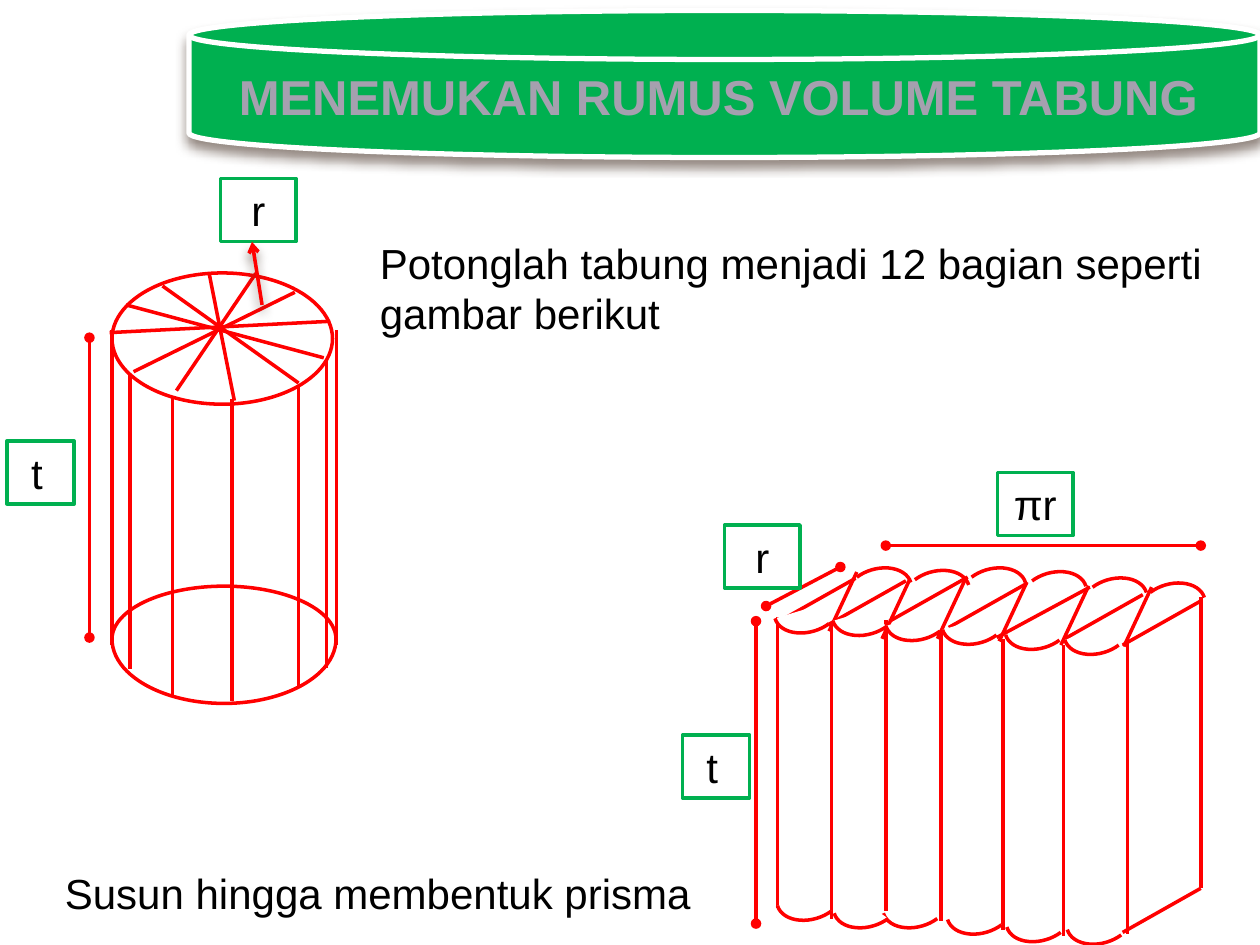
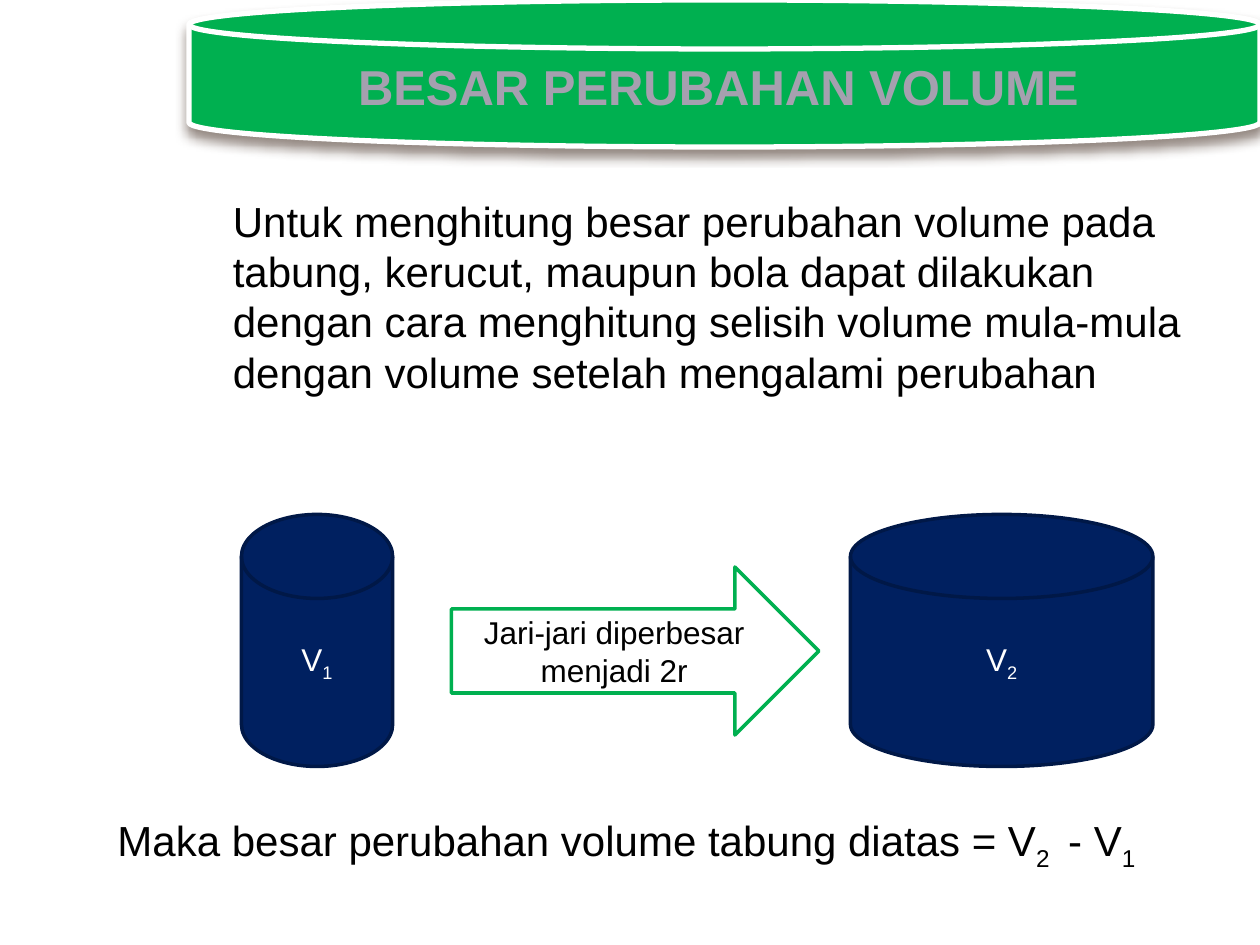
from typing import NamedTuple, Optional

from lxml import etree
from pptx import Presentation
from pptx.dml.color import RGBColor
from pptx.enum.shapes import MSO_CONNECTOR, MSO_SHAPE
from pptx.enum.text import MSO_ANCHOR, PP_ALIGN
from pptx.oxml.ns import qn
from pptx.util import Inches, Pt

WIDTH, HEIGHT = Inches(10), Inches(7.5)
COLUMN, ROW = WIDTH / 120, HEIGHT / 90  # grid of the boxes
UNIT = WIDTH / 10  # unit of the line drawings

GREEN = RGBColor(0x00, 0xB0, 0x50)
RED = RGBColor(0xFF, 0x00, 0x00)
NAVY = RGBColor(0x00, 0x20, 0x60)
DARK_NAVY = RGBColor(0x00, 0x18, 0x47)
TITLE_GREY = RGBColor(0xA5, 0xA0, 0xAF)
WHITE = RGBColor(0xFF, 0xFF, 0xFF)
BLACK = RGBColor(0x00, 0x00, 0x00)
SHADOW_BROWN = RGBColor(0x4E, 0x3B, 0x30)

FONT = "Arial"
TITLE_SIZE, BODY_SIZE, SHAPE_SIZE = 28, 24, 18
TITLE_ONLY = 5

DISK = MSO_SHAPE.FLOWCHART_MAGNETIC_DISK
RECTANGLE = MSO_SHAPE.RECTANGLE
ELLIPSE = MSO_SHAPE.OVAL
ARC = MSO_SHAPE.ARC
RIGHT_ARROW = MSO_SHAPE.RIGHT_ARROW
STRAIGHT = MSO_CONNECTOR.STRAIGHT
LEFT, CENTER = PP_ALIGN.LEFT, PP_ALIGN.CENTER
MIDDLE = MSO_ANCHOR.MIDDLE


class Box(NamedTuple):
    """A place on the grid, in columns and rows."""
    col: float
    row: float
    cols: float
    rows: float

    def emu(self) -> tuple[int, int, int, int]:
        return (round(self.col * COLUMN), round(self.row * ROW),
                round(self.cols * COLUMN), round(self.rows * ROW))


class Stroke(NamedTuple):
    """A line between two points, in drawing units."""
    x1: float
    y1: float
    x2: float
    y2: float


class Part(NamedTuple):
    """A stretch of text, lowered or on the baseline."""
    text: str
    lowered: bool = False


class Label(NamedTuple):
    text: str
    col: float
    row: float
    cols: float = 7.2
    align: PP_ALIGN = CENTER
    inset: float = 0.1


# Cylinder cut into sectors
CYLINDER_TOP = Box(10.67, 26, 21, 12.5)
BASE_LEFT, BASE_WIDTH, BASE_CENTRE = 10.67, 21.33, 60.87
BASE_HALVES = [(12.24, 0, 180), (10.08, 180, 0)]  # rows, start, end angle
DIAMETERS = [
    Stroke(1.72, 2.20, 1.72, 2.20),
    Stroke(1.29, 2.27, 2.37, 3.04), Stroke(1.06, 2.95, 2.34, 2.32),
    Stroke(1.00, 2.42, 2.57, 2.84), Stroke(0.87, 2.64, 2.62, 2.55),
    Stroke(1.40, 3.10, 2.03, 2.17), Stroke(1.86, 3.18, 1.66, 2.17),
]
CYLINDER_UPRIGHTS = [  # x, top, bottom
    (0.89, 2.62, 5.12), (2.67, 2.62, 5.12), (2.59, 2.85, 5.30),
    (1.03, 2.98, 5.31), (1.37, 3.15, 5.52), (1.84, 3.17, 5.56),
    (2.37, 3.06, 5.45),
]

# Prism made of the sectors; a scallop is placed by the tip of its sector
BACK_SCALLOPS = [(6.97, 4.70), (7.43, 4.72), (7.88, 4.70),
                 (8.36, 4.73), (8.84, 4.78), (9.30, 4.82)]
FRONT_SCALLOPS = [(8.71, 5.00), (8.24, 4.96), (7.74, 4.92),
                  (7.29, 4.89), (6.87, 4.85), (6.41, 4.83)]
BASE_SCALLOPS = [(8.73, 7.30), (8.25, 7.28), (7.78, 7.22),
                 (7.27, 7.17), (6.88, 7.17), (6.43, 7.11)]
SCALLOP_WIDTH, SCALLOP_HEIGHT, SCALLOP_TURN = 0.37, 0.54, 253.3
BACK_ANGLES, FRONT_ANGLES = (322, 90), (142, 270)
LONG_EDGE, SHORT_EDGE = (-0.62, 0.35), (-0.22, 0.47)
LONG_EDGES = [(9.53, 4.77), (9.07, 4.72), (8.15, 4.63), (7.68, 4.58),
              (7.19, 4.61), (6.79, 4.59), (9.53, 7.05)]
SHORT_EDGES = [(9.14, 4.66), (8.64, 4.65), (8.15, 4.62),
               (7.66, 4.60), (7.22, 4.60), (6.80, 4.54)]
WIDEST_EDGE = Stroke(8.65, 4.66, 7.91, 5.06)
PRISM_HEIGHT = 2.31
PRISM_UPRIGHTS = [(9.53, 4.74), (8.95, 5.10), (8.44, 5.12), (7.96, 5.07),
                  (7.47, 5.00), (7.03, 4.92), (6.60, 4.98), (6.17, 4.90)]

MEASURES = [Stroke(0.71, 2.68, 0.71, 5.06), Stroke(6.00, 4.93, 6.00, 7.33),
            Stroke(7.03, 4.33, 9.53, 4.33), Stroke(6.67, 4.50, 6.08, 4.81)]
RADIUS_POINTER = Stroke(2.08, 2.42, 2.00, 1.92)
LABEL_ROWS = 6
LABELS = [Label("t", 0.67, 42, 6.4, LEFT, 0.19), Label("r", 21, 17),
          Label("t", 65, 70, 6.4, LEFT, 0.19), Label("r", 69, 50),
          Label("πr", 95, 45)]


def add_shadow(effects) -> None:
    outer = etree.SubElement(effects, qn("a:outerShdw"), blurRad=str(Pt(6)),
                             dist=str(Pt(4)), dir="5400000", rotWithShape="0")
    color = etree.SubElement(outer, qn("a:srgbClr"), val=str(SHADOW_BROWN))
    etree.SubElement(color, qn("a:alpha"), val="60000")


def write(shape, parts: list[Part], size: float, color: RGBColor,
          align=CENTER, bold: bool = False) -> None:
    frame = shape.text_frame
    frame.word_wrap = True
    paragraph = frame.paragraphs[0]
    paragraph.alignment = align
    for part in parts:
        run = paragraph.add_run()
        run.text = part.text
        run.font.name, run.font.size = FONT, Pt(size)
        run.font.bold = bold
        run.font.color.rgb = color
        if part.lowered:
            run.font._element.set("baseline", "-25000")


def add_figure(slide, kind, box: Box, fill: Optional[RGBColor],
               line: RGBColor, weight: float = 2):
    figure = slide.shapes.add_shape(kind, *box.emu())
    figure.shadow.inherit = False
    if fill is None:
        figure.fill.background()
    else:
        figure.fill.solid()
        figure.fill.fore_color.rgb = fill
    figure.line.color.rgb = line
    figure.line.width = Pt(weight)
    return figure


def add_arc(slide, box: Box, fill: Optional[RGBColor],
            start: float, end: float):
    """Draw a red arc clockwise between two angles in degrees."""
    arc = add_figure(slide, ARC, box, fill, RED)
    # One adjustment step is 100000 sixty-thousandths of a degree
    arc.adjustments[0], arc.adjustments[1] = start * 0.6, end * 0.6
    return arc


def add_body(slide, box: Box, parts: list[Part]) -> None:
    body = slide.shapes.add_textbox(*box.emu())
    write(body, parts, BODY_SIZE, BLACK, LEFT)


def draw(slide, stroke: Stroke, head: str = "none", tail: str = "none",
         shadow: bool = False) -> None:
    connector = slide.shapes.add_connector(
        STRAIGHT, *(round(length * UNIT) for length in stroke))
    connector.line.color.rgb = RED
    connector.line.width = Pt(2)
    properties = connector._element.spPr
    outline = properties.find(qn("a:ln"))
    etree.SubElement(outline, qn("a:headEnd"), type=head)
    etree.SubElement(outline, qn("a:tailEnd"), type=tail)
    effects = etree.SubElement(properties, qn("a:effectLst"))
    if shadow:
        add_shadow(effects)


def add_scallops(slide, tips: list[tuple[float, float]],
                 angles: tuple[float, float]) -> None:
    """Draw white sectors with a red rim around their tips."""
    cols, rows = SCALLOP_WIDTH * UNIT / COLUMN, SCALLOP_HEIGHT * UNIT / ROW
    for x, y in tips:
        box = Box(x * UNIT / COLUMN - cols / 2, y * UNIT / ROW - rows / 2,
                  cols, rows)
        add_arc(slide, box, WHITE, *angles).rotation = SCALLOP_TURN


def add_titled_slide(deck, title: str, band_row: float):
    slide = deck.slides.add_slide(deck.slide_layouts[TITLE_ONLY])
    band_box = Box(18, band_row, 102, 14)
    band = add_figure(slide, DISK, band_box, GREEN, WHITE, 3)
    add_shadow(band._element.spPr.find(qn("a:effectLst")))

    heading = slide.shapes.title
    heading._element.addprevious(band._element)
    heading.left, heading.top, heading.width, heading.height = Box(
        band_box.col, band_row + band_box.rows / 3, 100.8,
        band_box.rows / 2).emu()
    heading.text_frame.vertical_anchor = MIDDLE
    write(heading, [Part(title)], TITLE_SIZE, TITLE_GREY, bold=True)
    return slide


def draw_cylinder(slide) -> None:
    add_figure(slide, ELLIPSE, CYLINDER_TOP, WHITE, RED)
    for diameter in DIAMETERS:
        draw(slide, diameter)
    for x, top, bottom in CYLINDER_UPRIGHTS:
        draw(slide, Stroke(x, top, x, bottom))
    for rows, start, end in BASE_HALVES:
        add_arc(slide, Box(BASE_LEFT, BASE_CENTRE - rows / 2, BASE_WIDTH, rows),
                None, start, end)


def draw_prism(slide) -> None:
    add_scallops(slide, BACK_SCALLOPS, BACK_ANGLES)
    for starts, (dx, dy) in ((LONG_EDGES, LONG_EDGE),
                             (SHORT_EDGES, SHORT_EDGE),
                             (PRISM_UPRIGHTS, (0, PRISM_HEIGHT))):
        for x, y in starts:
            draw(slide, Stroke(x, y, x + dx, y + dy))
    draw(slide, WIDEST_EDGE)
    add_scallops(slide, FRONT_SCALLOPS + BASE_SCALLOPS, FRONT_ANGLES)


def build_formula_slide(deck) -> None:
    slide = add_titled_slide(deck, "MENEMUKAN RUMUS VOLUME TABUNG", 1)
    draw_prism(slide)
    draw_cylinder(slide)
    for measure in MEASURES:
        draw(slide, measure, "oval", "oval")
    for label in LABELS:
        tag = add_figure(slide, RECTANGLE, Box(label.col, label.row, label.cols,
                                               LABEL_ROWS), WHITE, GREEN)
        tag.text_frame.margin_left = Inches(label.inset)
        write(tag, [Part(label.text)], BODY_SIZE, BLACK, label.align)
    draw(slide, RADIUS_POINTER, tail="arrow", shadow=True)
    add_body(slide, Box(35, 22, 83, 10.9), [
        Part("Potonglah tabung menjadi 12 bagian seperti gambar berikut")])
    add_body(slide, Box(5, 82, 64.7, 6),
             [Part("Susun hingga membentuk prisma")])


def build_change_slide(deck) -> None:
    slide = add_titled_slide(deck, "BESAR PERUBAHAN VOLUME", 0)
    add_body(slide, Box(21, 18, 96, 20.6), [
        Part("Untuk menghitung besar perubahan volume pada tabung, kerucut, "
             "maupun bola dapat dilakukan dengan cara menghitung selisih "
             "volume mula-mula dengan volume setelah mengalami perubahan")])
    enlargement = add_figure(slide, RIGHT_ARROW, Box(43, 54, 35, 16),
                             WHITE, GREEN)
    write(enlargement, [Part("Jari-jari diperbesar menjadi 2r")],
          SHAPE_SIZE, BLACK)
    for index, col, cols in (("1", 23, 14.4), ("2", 81, 28.8)):
        volume = add_figure(slide, DISK, Box(col, 49, cols, 24),
                            NAVY, DARK_NAVY)
        write(volume, [Part("V"), Part(index, True)], SHAPE_SIZE, WHITE)
    add_body(slide, Box(10, 77, 100, 9.7), [
        Part("Maka besar perubahan volume tabung diatas = V"),
        Part("2 ", True), Part(" - V"), Part("1", True)])


def main() -> None:
    deck = Presentation()
    deck.slide_width, deck.slide_height = WIDTH, HEIGHT
    build_formula_slide(deck)
    build_change_slide(deck)
    deck.save("out.pptx")


if __name__ == "__main__":
    main()
